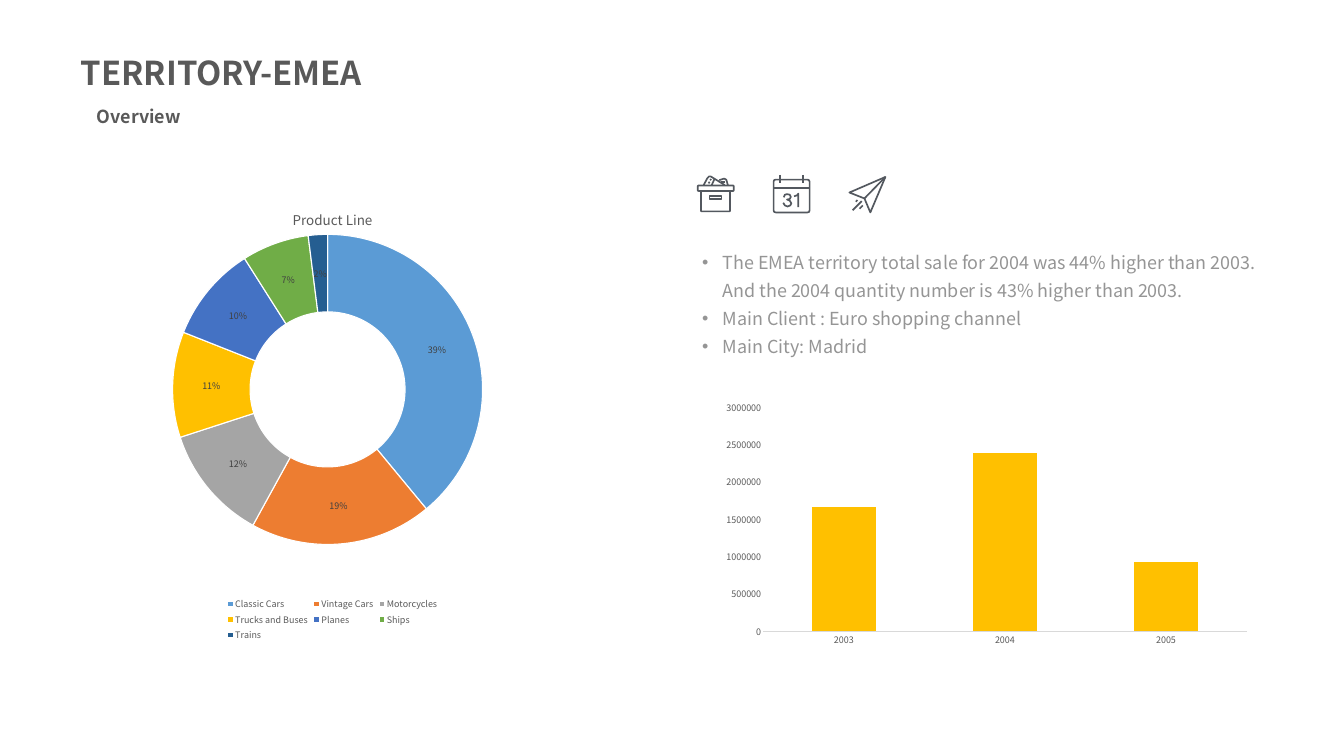
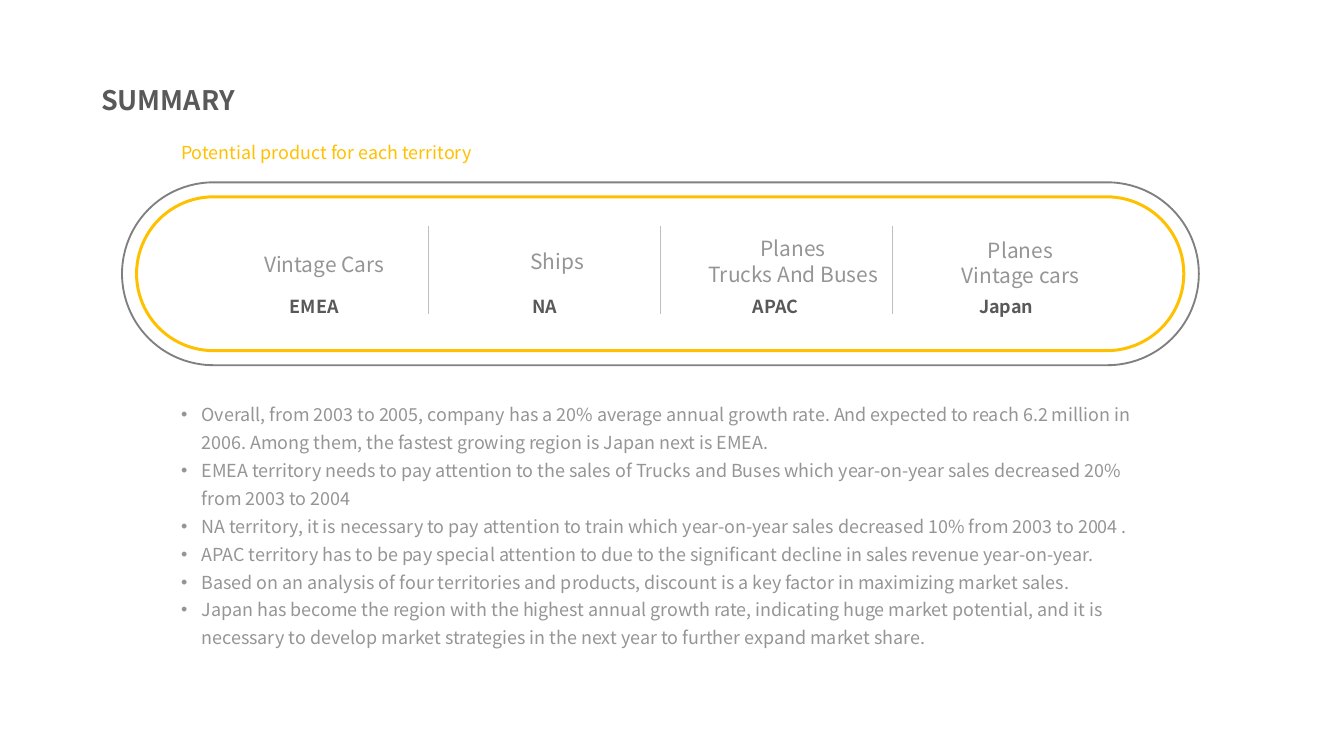
from dataclasses import dataclass
from typing import NamedTuple

from lxml import etree
from pptx import Presentation
from pptx.chart.data import CategoryChartData as Data
from pptx.dml.color import RGBColor as RGB
from pptx.enum.chart import XL_CHART_TYPE as Kind, XL_LEGEND_POSITION as Side, XL_TICK_MARK as Tick
from pptx.enum.shapes import MSO_CONNECTOR as Link, MSO_SHAPE as Form
from pptx.enum.text import MSO_ANCHOR as Anchor, MSO_AUTO_SIZE as Fit, PP_ALIGN as Align
from pptx.oxml.ns import qn
from pptx.util import Inches, Pt


@dataclass(frozen=True)
class Theme:
    font: str = "Noto Sans CJK SC"
    dark: str = "595959"
    soft: str = "959595"
    gold: str = "FFC000"
    icon: str = "53585F"
    ring: str = "808080"
    rule: str = "BFBFBF"
    axis: str = "D9D9D9"
    label: str = "404040"
    white: str = "FFFFFF"
    slices: tuple = ("5B9BD5", "ED7D31", "A5A5A5", "FFC000", "4472C4", "70AD47", "255E91")
    head: int = 44
    small_head: int = 36
    goods: int = 28
    body: int = 24
    caption: int = 18
    tiny: int = 12


THEME = Theme()


class Box(NamedTuple):
    left: float
    top: float
    width: float
    height: float

    def emu(self) -> list:
        return [Inches(v) for v in self]


@dataclass(frozen=True)
class Stroke:
    points: tuple
    closed: bool = False


@dataclass(frozen=True)
class Icon:
    left: float
    top: float
    strokes: tuple


@dataclass(frozen=True)
class Ring:
    box: Box
    color: str
    width: float


@dataclass(frozen=True)
class Area:
    name: str
    goods: str
    box: Box


# Stroke points are in hundredths of an inch from the icon's corner.
ICONS = (
    Icon(12.96, 3.25, (
        Stroke(((3, 20), (68, 20), (69, 21), (69, 29), (68, 30), (3, 30), (2, 29), (2, 21)), True),
        Stroke(((8, 30), (8, 67), (9, 68), (61, 68), (62, 67), (62, 30))),
        Stroke(((24, 39), (46, 39), (46, 45), (24, 45)), True),
        Stroke(((13, 19), (20, 6), (23, 3), (26, 3), (52, 19))),
        Stroke(((28, 19), (33, 8))),
        Stroke(((42, 10), (51, 7), (55, 9), (58, 19))),
        Stroke(((46, 13), (52, 13))),
        Stroke(((22, 16), (24, 13))),
        Stroke(((25, 10), (27, 8))),
    )),
    Icon(14.37, 3.25, (
        Stroke(((2, 13), (3, 10), (6, 9), (65, 9), (68, 10), (69, 13),
                (69, 66), (68, 69), (65, 70), (6, 70), (3, 69), (2, 66)), True),
        Stroke(((2, 24), (69, 24))),
        Stroke(((14, 0), (14, 16))),
        Stroke(((57, 0), (57, 16))),
        Stroke(((21, 42), (23, 37), (27, 36), (32, 37), (34, 41), (32, 45), (27, 46),
                (32, 48), (35, 53), (33, 57), (28, 59), (23, 57), (20, 52))),
        Stroke(((40, 40), (46, 38), (48, 35), (48, 60))),
    )),
    Icon(15.78, 3.27, (
        Stroke(((2, 31), (69, 2), (41, 68), (30, 42)), True),
        Stroke(((30, 42), (69, 2))),
        Stroke(((21, 61), (27, 55))),
        Stroke(((8, 64), (25, 47))),
        Stroke(((14, 48), (17, 45))),
    )),
)

SALES = {"2003": 1660000, "2004": 2390000, "2005": 930000}
LINES = {"Classic Cars": 39, "Vintage Cars": 19, "Motorcycles": 12, "Trucks and Buses": 11,
         "Planes": 10, "Ships": 7, "Trains": 2}

FACTS = (
    "The EMEA territory total sale for 2004 was 44% higher than 2003. "
    "And the 2004 quantity number is 43% higher than 2003.",
    "Main Client : Euro shopping channel",
    "Main City: Madrid",
)
POINTS = (
    "Overall, from 2003 to 2005, company has a 20% average annual growth rate. And expected to "
    "reach 6.2 million in 2006. Among them, the fastest growing region is Japan next is EMEA.",
    "EMEA territory needs to pay attention to the sales of Trucks and Buses which year-on-year "
    "sales decreased 20% from 2003 to 2004",
    "NA territory, it is necessary to pay attention to train which year-on-year sales decreased "
    "10% from 2003 to 2004 .",
    "APAC territory has to be pay special attention to due to the significant decline in sales "
    "revenue year-on-year.",
    "Based on an analysis of four territories and products, discount is a key factor in "
    "maximizing market sales.",
    "Japan has become the region with the highest annual growth rate, indicating huge market "
    "potential, and it is necessary to develop market strategies in the next year to further "
    "expand market share.",
)

RINGS = (
    Ring(Box(2.27, 3.39, 20.03, 3.4), THEME.ring, 2.5),
    Ring(Box(2.54, 3.66, 19.48, 2.86), THEME.gold, 4),
)
AREAS = (
    Area("EMEA", "Vintage Cars", Box(4.82, 4.62, 2.42, 0.57)),
    Area("NA", "Ships", Box(9.76, 4.58, 1.21, 0.57)),
    Area("APAC", "Planes\nTrucks And Buses", Box(12.97, 4.34, 3.57, 1.04)),
    Area("Japan", "Planes\nVintage cars", Box(17.72, 4.37, 2.52, 1.04)),
)


def set_font(font, size: float, color: str, bold: bool = False) -> None:
    font.name, font.size, font.bold = THEME.font, Pt(size), bold
    font.color.rgb = RGB.from_string(color)


def set_text(shape, text: str, size: int, color: str, bold: bool = False,
             space: float = 1, align=Align.LEFT, wrap: bool = True) -> None:
    frame = shape.text_frame
    frame.text = text
    frame.word_wrap, frame.auto_size = wrap, Fit.NONE
    frame.vertical_anchor = Anchor.TOP
    for para in frame.paragraphs:
        para.alignment, para.line_spacing = align, space
        para.space_before = Pt(0)
        for run in para.runs:
            set_font(run.font, size, color, bold)


def place(shape, box: Box) -> None:
    shape.left, shape.top, shape.width, shape.height = box.emu()


def add_text(slide, box: Box, text: str, size: int, color: str, **style) -> None:
    set_text(slide.shapes.add_textbox(*box.emu()), text, size, color, **style)


def add_page(deck, head: str, head_box: Box, size: int, items: tuple, body_box: Box):
    """Add a slide with its heading and bulleted list."""
    slide = deck.slides.add_slide(deck.slide_layouts[1])
    title, body = slide.placeholders
    place(title, head_box)
    set_text(title, head, size, THEME.dark, bold=True, space=1.5)
    place(body, body_box)
    set_text(body, "\n".join(items), THEME.body, THEME.soft, space=1.3)
    for para in body.text_frame.paragraphs:
        props = para._p.get_or_add_pPr()
        props.set("marL", str(Inches(0.38)))
        props.set("indent", str(-Inches(0.38)))
    return slide


def add_icon(slide, icon: Icon) -> None:
    first = icon.strokes[0].points[0]
    pen = slide.shapes.build_freeform(*first, scale=Inches(0.01))
    for stroke in icon.strokes:
        pen.move_to(*stroke.points[0])
        pen.add_line_segments(stroke.points[1:], close=stroke.closed)
    shape = pen.convert_to_shape(Inches(icon.left), Inches(icon.top))
    shape.shadow.inherit = False
    shape.fill.background()
    shape.line.color.rgb = RGB.from_string(THEME.icon)
    shape.line.width = Pt(2.25)


def add_chart(slide, kind, box: Box, values: dict):
    data = Data()
    data.categories = list(values)
    data.add_series("Series 1", list(values.values()))
    chart = slide.shapes.add_chart(kind, *box.emu(), data).chart
    set_font(chart.font, THEME.tiny, THEME.dark)
    chart.has_title = chart.has_legend = False
    return chart


def add_bars(slide) -> None:
    chart = add_chart(slide, Kind.COLUMN_CLUSTERED, Box(13.31, 7.35, 10.08, 4.77), SALES)
    plot = chart.plots[0]
    plot.gap_width, plot.vary_by_categories = 150, False
    fill = plot.series[0].format.fill
    fill.solid()
    fill.fore_color.rgb = RGB.from_string(THEME.gold)
    for axis in (chart.category_axis, chart.value_axis):
        axis.has_major_gridlines = False
        axis.major_tick_mark = axis.minor_tick_mark = Tick.NONE
        set_font(axis.tick_labels.font, THEME.tiny, THEME.dark)
    line = chart.category_axis.format.line
    line.color.rgb, line.width = RGB.from_string(THEME.axis), Pt(0.75)
    scale = chart.value_axis
    scale.format.line.fill.background()
    scale.minimum_scale, scale.maximum_scale, scale.major_unit = 0, 3000000, 500000


def set_layout(chart, **sizes: float) -> None:
    """Fix the inner plot area, as fractions of the chart."""
    area = chart._chartSpace.find(".//" + qn("c:plotArea"))
    old = area.find(qn("c:layout"))
    if old is not None:
        area.remove(old)
    layout = etree.Element(qn("c:layout"))
    manual = etree.SubElement(layout, qn("c:manualLayout"))
    rules = {"layoutTarget": "inner", "xMode": "edge", "yMode": "edge", **sizes}
    for tag, value in rules.items():
        etree.SubElement(manual, qn("c:" + tag)).set("val", str(value))
    area.insert(0, layout)


def add_donut(slide) -> None:
    chart = add_chart(slide, Kind.DOUGHNUT, Box(3.15, 3.6, 6.07, 8.37), LINES)
    chart.has_title = chart.has_legend = True
    title = chart.chart_title.text_frame
    title.text = "Product Line"
    set_font(title.paragraphs[0].runs[0].font, THEME.caption, THEME.dark)
    chart.legend.position, chart.legend.include_in_layout = Side.BOTTOM, False
    set_font(chart.legend.font, THEME.tiny, THEME.dark)
    plot = chart.plots[0]
    plot.vary_by_categories = plot.has_data_labels = True
    labels = plot.data_labels
    labels.show_percentage, labels.show_value = True, False
    labels.number_format, labels.number_format_is_linked = "0%", False
    set_font(labels.font, THEME.tiny, THEME.label)
    for i, color in enumerate(THEME.slices):
        look = plot.series[0].points[i].format
        look.fill.solid()
        look.fill.fore_color.rgb = RGB.from_string(color)
        look.line.color.rgb, look.line.width = RGB.from_string(THEME.white), Pt(1.5)
    chart._chartSpace.find(".//" + qn("c:holeSize")).set("val", "75")
    set_layout(chart, x=0.01, y=0.09, w=0.95, h=0.69)


def add_ring(slide, ring: Ring) -> None:
    shape = slide.shapes.add_shape(Form.ROUNDED_RECTANGLE, *ring.box.emu())
    shape.adjustments[0] = 0.5
    shape.shadow.inherit = False
    shape.fill.background()
    shape.line.color.rgb, shape.line.width = RGB.from_string(ring.color), Pt(ring.width)


def add_rule(slide, x: float, top: float, end: float) -> None:
    rule = slide.shapes.add_connector(Link.STRAIGHT, *Box(x, top, x, end).emu())
    rule.line.color.rgb, rule.line.width = RGB.from_string(THEME.rule), Pt(0.75)
    etree.SubElement(rule._element.spPr, qn("a:effectLst"))


def add_emea(deck) -> None:
    slide = add_page(deck, "TERRITORY-EMEA", Box(1.4, 0.57, 9.48, 1.08), THEME.head,
                     FACTS, Box(12.96, 4.51, 11.02, 3.2))
    add_text(slide, Box(1.7, 1.71, 10.8, 0.64), "Overview", THEME.body, THEME.dark,
             bold=True, space=1.5)
    add_bars(slide)
    for icon in ICONS:
        add_icon(slide, icon)
    add_donut(slide)


def add_summary(deck) -> None:
    slide = add_page(deck, "SUMMARY", Box(1.78, 1.2, 9.48, 0.9), THEME.small_head,
                     POINTS, Box(3.27, 7.33, 18.07, 5.83))
    for ring in RINGS:
        add_ring(slide, ring)
    for i, area in enumerate(AREAS):
        add_text(slide, Box(4.48 + 4.29 * i, 5.44, 2.73, 0.5), area.name, THEME.body,
                 THEME.dark, bold=True, align=Align.CENTER)
        add_text(slide, area.box, area.goods, THEME.goods, THEME.soft,
                 align=Align.CENTER, wrap=False)
        if i:
            add_rule(slide, 3.66 + 4.31 * i, 4.2, 5.84)
    add_text(slide, Box(3.27, 2.39, 5.95, 0.64), "Potential product for each territory",
             THEME.body, THEME.gold, space=1.5)


def main() -> None:
    deck = Presentation()
    deck.slide_width, deck.slide_height = Inches(25), Inches(14)
    add_emea(deck)
    add_summary(deck)
    deck.save("out.pptx")


if __name__ == "__main__":
    main()
